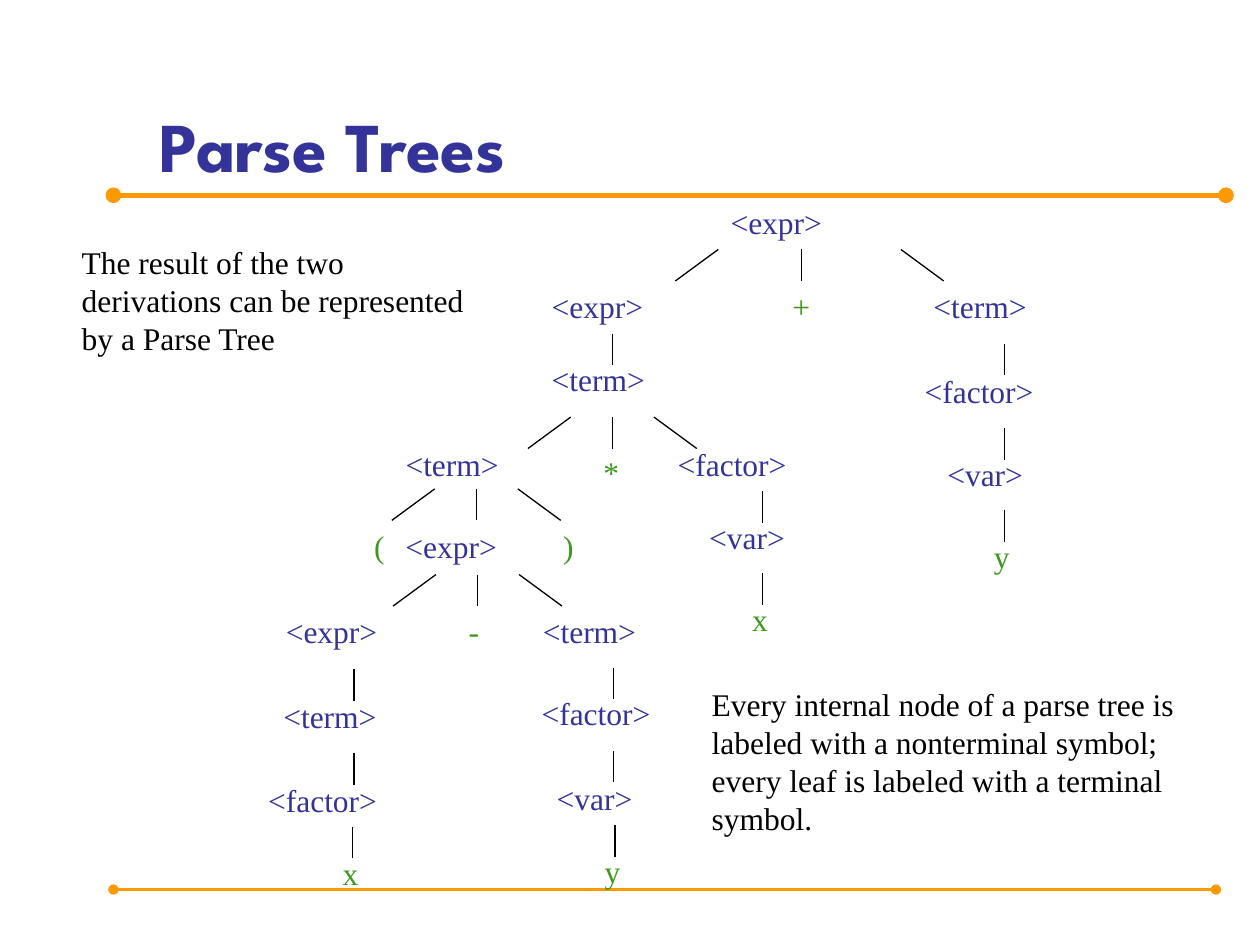
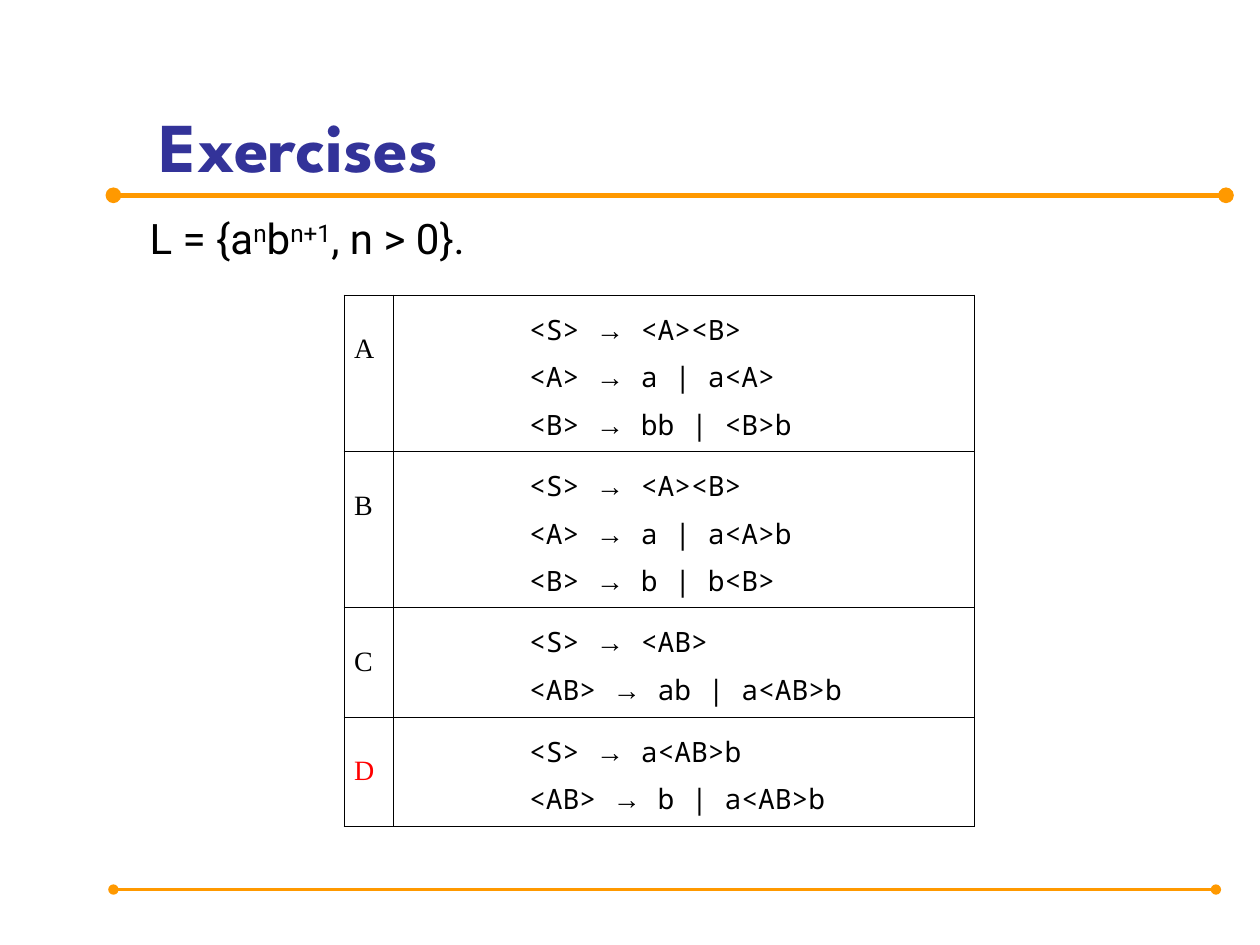
from dataclasses import dataclass

from lxml import etree
from pptx import Presentation
from pptx.dml.color import RGBColor
from pptx.enum.shapes import MSO_CONNECTOR
from pptx.enum.text import MSO_ANCHOR, MSO_AUTO_SIZE
from pptx.oxml.ns import qn
from pptx.util import Pt

EMU_PER_PX = 9144  # 100 px to the inch
STRAIGHT = MSO_CONNECTOR.STRAIGHT
TOP, BOTTOM = MSO_ANCHOR.TOP, MSO_ANCHOR.BOTTOM
NO_AUTOSIZE, GROW = MSO_AUTO_SIZE.NONE, MSO_AUTO_SIZE.SHAPE_TO_FIT_TEXT
BLANK_LAYOUT = 6
ARROW = "→"


@dataclass(frozen=True)
class Theme:
    heading: str = "333399"
    nonterminal: str = "333399"
    terminal: str = "3D991E"
    accent: str = "FF9900"
    ink: str = "000000"
    answer: str = "FF0000"
    title_font: str = "League Spartan"
    body_font: str = "Times New Roman"
    formula_font: str = "Roboto"
    code_font: str = "Noto Sans Mono"
    arrow_font: str = "Arial"
    title_size: int = 40
    formula_size: int = 24
    body_size: int = 18
    table_size: int = 16
    branch_width: float = 0.75
    border_width: float = 0.45


def px(length):
    return length * EMU_PER_PX


def set_font(font, name, size, color, bold=False):
    font.name = name
    font.size = Pt(size)
    font.bold = bold
    font.color.rgb = RGBColor.from_string(color)


class Deck:
    def __init__(self, theme):
        self.theme = theme
        self.presentation = Presentation()
        self.presentation.slide_width = px(1000)
        self.presentation.slide_height = px(750)
        self.slide = None

    def start_slide(self, title):
        """Add a slide with its title and the two ruled bands."""
        theme = self.theme
        layout = self.presentation.slide_layouts[BLANK_LAYOUT]
        self.slide = self.presentation.slides.add_slide(layout)
        self.line((90, 155), (973, 155), theme.accent, 3, dotted=True)
        self.line((90, 706), (965, 706), theme.accent, 1.5, dotted=True)
        paragraph = self.text_box(117, 28, 861, 125, anchor=BOTTOM, autosize=NO_AUTOSIZE)
        paragraph.text = title
        set_font(paragraph.font, theme.title_font, theme.title_size, theme.heading, bold=True)

    def line(self, start, end, color, width, dotted=False):
        """Draw a straight line, with round ends if dotted."""
        connector = self.slide.shapes.add_connector(STRAIGHT, *map(px, start + end))
        connector.line.color.rgb = RGBColor.from_string(color)
        connector.line.width = Pt(width)
        properties = connector._element.spPr
        if dotted:
            outline = properties.find(qn("a:ln"))
            for tag in ("a:headEnd", "a:tailEnd"):
                etree.SubElement(outline, qn(tag), type="oval")
        etree.SubElement(properties, qn("a:effectLst"))

    def text_box(self, left, top, width, height, wrap=True, anchor=TOP, autosize=GROW):
        """Add an empty text box and return its first paragraph."""
        box = self.slide.shapes.add_textbox(*map(px, (left, top, width, height)))
        frame = box.text_frame
        frame.word_wrap = wrap
        frame.vertical_anchor = anchor
        frame.auto_size = autosize
        return frame.paragraphs[0]

    def note(self, text, left, top, width, height):
        paragraph = self.text_box(left, top, width, height)
        paragraph.text = text
        set_font(paragraph.font, self.theme.body_font, self.theme.body_size, self.theme.ink)

    def node(self, text, left, top, width, color):
        paragraph = self.text_box(left, top, width, 40, wrap=False)
        paragraph.text = text
        set_font(paragraph.font, self.theme.body_font, self.theme.body_size, color)

    def branch(self, x, top, slant=0):
        self.line((x, top), (x + slant, top + 25), self.theme.ink, self.theme.branch_width)

    def fan(self, center, top, left_gap=33, right_gap=33):
        """Draw three branches: outward left, straight down, outward right."""
        self.branch(center - left_gap, top, -34)
        self.branch(center, top)
        self.branch(center + right_gap, top, 34)

    def formula(self, parts, left, top, width, height):
        """Write (text, is_superscript) parts on one line."""
        theme = self.theme
        paragraph = self.text_box(left, top, width, height, wrap=False)
        set_font(paragraph.font, theme.formula_font, theme.formula_size, theme.ink)
        for text, is_superscript in parts:
            run = paragraph.add_run()
            run.text = text
            if is_superscript:
                run._r.get_or_add_rPr().set("baseline", "30000")

    def style_cell(self, cell):
        """Give a cell thin borders on all sides, no fill and its side margins."""
        properties = cell._tc.get_or_add_tcPr()
        for side in ("a:lnL", "a:lnR", "a:lnT", "a:lnB"):
            border = etree.SubElement(properties, qn(side), w=str(Pt(self.theme.border_width)))
            fill = etree.SubElement(border, qn("a:solidFill"))
            etree.SubElement(fill, qn("a:srgbClr"), val=self.theme.ink)
        cell.fill.background()
        cell.margin_left = cell.margin_right = px(8)
        cell.margin_top = cell.margin_bottom = px(5)

    def grammar_rule(self, paragraph, rule):
        theme = self.theme
        paragraph.line_spacing = 1.25
        paragraph._p.get_or_add_pPr().set("marL", str(px(100)))
        set_font(paragraph.font, theme.code_font, theme.table_size, theme.ink)
        before, arrow, after = rule.partition(ARROW)
        for text in (before, arrow, after):
            run = paragraph.add_run()
            run.text = text
            run.font.name = theme.arrow_font if text == ARROW else theme.code_font

    def grammar_table(self, grammars, correct, left, top, columns, row_heights):
        theme = self.theme
        frame = self.slide.shapes.add_table(
            len(grammars), len(columns),
            *map(px, (left, top, sum(columns), sum(row_heights))))
        table = frame.table
        table.first_row = table.horz_banding = False
        for column, width in zip(table.columns, columns):
            column.width = px(width)
        for row, height, (letter, rules) in zip(table.rows, row_heights, grammars.items()):
            row.height = px(height)
            letter_cell, rules_cell = row.cells
            self.style_cell(letter_cell)
            self.style_cell(rules_cell)
            letter_cell.margin_top = px(31)
            letter_cell.text = letter
            color = theme.answer if letter == correct else theme.ink
            set_font(letter_cell.text_frame.paragraphs[0].font,
                     theme.body_font, theme.table_size, color)
            rules_frame = rules_cell.text_frame
            for index, rule in enumerate(rules):
                paragraph = rules_frame.add_paragraph() if index else rules_frame.paragraphs[0]
                self.grammar_rule(paragraph, rule)


# Left and top of every node, by its symbol
NONTERMINALS = {
    "<expr>": [(570, 156), (428, 223), (312, 413), (217, 481)],
    "<term>": [(731, 223), (428, 281), (312, 348), (421, 481), (215, 548)],
    "<factor>": [(528, 348), (420, 546), (203, 615), (724, 290)],
    "<var>": [(432, 613), (742, 356), (553, 406)],
}
TERMINALS = {
    "+": [(619, 223)],
    "*": [(469, 355)],
    "(": [(287, 413)],
    ")": [(437, 413)],
    "-": [(362, 481)],
    "x": [(262, 673), (587, 471)],
    "y": [(779, 421), (470, 671)],
}
NODE_WIDTHS = {
    "<expr>": 94, "<term>": 95, "<factor>": 108, "<var>": 81,
    "+": 34, "*": 32, "(": 28, ")": 28, "-": 28, "x": 32, "y": 32,
}
FANS = [(486, 331), (378, 388), (379, 456)]
# Tops of the single branches, by their x
STEMS = {
    486: [265],
    281: [531, 598],
    280: [656],
    487: [530, 596],
    488: [655],
    605: [390, 455],
    797: [273, 340, 405],
}

GRAMMARS = {
    "A": ["<S> → <A><B>", "<A> → a | a<A>", "<B> → bb | <B>b"],
    "B": ["<S> → <A><B>", "<A> → a | a<A>b", "<B> → b | b<B>"],
    "C": ["<S> → <AB>", "<AB> → ab | a<AB>b"],
    "D": ["<S> → a<AB>b", "<AB> → b | a<AB>b"],
}
LANGUAGE = [("L = {a", False), ("n", True), ("b", False), ("n+1", True), (", n > 0}.", False)]


def add_parse_tree_slide(deck):
    deck.start_slide("Parse Trees")
    theme = deck.theme
    for symbols, color in ((NONTERMINALS, theme.nonterminal), (TERMINALS, theme.terminal)):
        for symbol, places in symbols.items():
            for left, top in places:
                deck.node(symbol, left, top, NODE_WIDTHS[symbol], color)
    deck.fan(636, 198, left_gap=66, right_gap=79)
    for center, top in FANS:
        deck.fan(center, top)
    for x, tops in STEMS.items():
        for top in tops:
            deck.branch(x, top)
    deck.note("Every internal node of a parse tree is labeled with a nonterminal symbol; "
              "every leaf is labeled with a terminal symbol.", 555, 539, 433, 130)
    deck.note("The result of the two derivations can be represented by a Parse Tree",
              55, 188, 342, 100)


def add_exercises_slide(deck):
    deck.start_slide("Exercises")
    deck.formula(LANGUAGE, 109, 164, 287, 50)
    deck.grammar_table(GRAMMARS, "D", 273, 234, columns=(39, 461),
                       row_heights=(124, 124, 87, 87))


def main():
    deck = Deck(Theme())
    add_parse_tree_slide(deck)
    add_exercises_slide(deck)
    deck.presentation.save("out.pptx")


if __name__ == "__main__":
    main()
